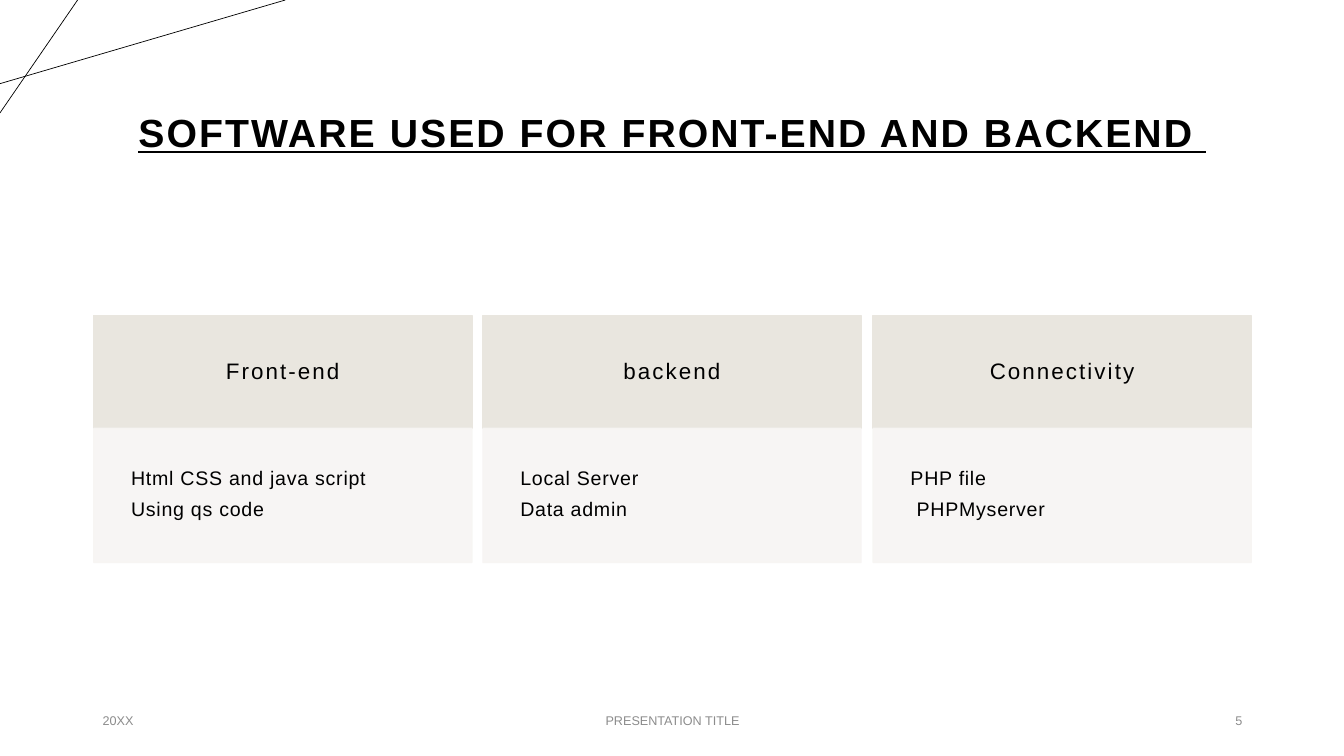
from lxml import etree
from pptx import Presentation
from pptx import util as u
from pptx.dml.color import RGBColor
from pptx.enum import shapes, text
from pptx.oxml.ns import qn

PX = 9144  # EMU per px, 100 px to the inch
FONT = "Arial"
COLORS = {
    "ink": "000000",
    "footer": "8C8C8C",
    "heading": "E9E6DF",
    "body": "F7F5F3",
}
COLUMNS = [
    ("Front-end", ["Html CSS and java script", "Using qs code"]),
    ("backend", ["Local Server", "Data admin"]),
    ("Connectivity", ["PHP file", " PHPMyserver"]),
]
LEFT, CENTER, RIGHT = text.PP_ALIGN.LEFT, text.PP_ALIGN.CENTER, text.PP_ALIGN.RIGHT
TOP, MIDDLE, BOTTOM = text.MSO_ANCHOR.TOP, text.MSO_ANCHOR.MIDDLE, text.MSO_ANCHOR.BOTTOM


def emu(*lengths):
    return [u.Emu(length * PX) for length in lengths]


def rgb(name):
    return RGBColor.from_string(COLORS[name])


def write(shape, lines, size, color="ink", align=LEFT, anchor=MIDDLE, inset=None,
          bold=False, underline=False, tracking=0, line_spacing=1.0, space_after=0):
    """Fill a shape with one formatted paragraph per line; tracking is in points."""
    frame = shape.text_frame
    frame.word_wrap = True
    frame.auto_size = text.MSO_AUTO_SIZE.NONE
    frame.vertical_anchor = anchor
    if inset is not None:
        frame.margin_left, frame.margin_top, frame.margin_right, frame.margin_bottom = emu(*[inset] * 4)
    frame.text = "\n".join(lines)
    for paragraph in frame.paragraphs:
        paragraph.alignment = align
        paragraph.line_spacing = line_spacing
        paragraph.space_before = u.Pt(0)
        paragraph.space_after = u.Pt(space_after)
        for run in paragraph.runs:
            run.font.name = FONT
            run.font.size = u.Pt(size)
            run.font.bold = bold
            run.font.underline = underline
            run.font.color.rgb = rgb(color)
    for properties in shape.element.iter(qn("a:rPr")):
        properties.set("spc", str(int(tracking * 100)))


def add_panel(slide, box, color, opacity=100):
    panel = slide.shapes.add_shape(shapes.MSO_SHAPE.RECTANGLE, *emu(*box))
    panel.shadow.inherit = False
    panel.fill.solid()
    panel.fill.fore_color.rgb = rgb(color)
    panel.line.color.rgb = rgb(color)
    panel.line.width = u.Pt(1)
    if opacity < 100:
        for fill_color in panel.element.spPr.iter(qn("a:srgbClr")):
            etree.SubElement(fill_color, qn("a:alpha"), val=str(opacity * 1000))
    return panel


def add_corner_lines(slide, box):
    left, top, width, height = box
    ends = [
        (left, top + 83, left + width, top),
        (left + 77, top, left, top + height),
    ]
    for points in ends:
        line = slide.shapes.add_connector(shapes.MSO_CONNECTOR.STRAIGHT, *emu(*points))
        line.line.color.rgb = rgb("ink")
        line.line.width = u.Pt(0.5)
        etree.SubElement(line.element.spPr, qn("a:effectLst"))


def add_title(slide, box):
    title = slide.shapes.title
    title.left, title.top, title.width, title.height = emu(*box)
    write(title, ["SOFTWARE USED FOR FRONT-END AND BACKEND "], 28, align=CENTER,
          anchor=BOTTOM, bold=True, underline=True, tracking=1.5, line_spacing=0.9)


def add_column(slide, box, heading, lines):
    left, top, width, height = box
    heading_height = 112
    header = add_panel(slide, (left, top, width, heading_height), "heading")
    write(header, [heading], 16, align=CENTER, inset=30, tracking=1.5, line_spacing=0.9)
    body_box = (left, top + heading_height, width, height - heading_height)
    body = add_panel(slide, body_box, "body", opacity=90)
    write(body, lines, 14, anchor=TOP, inset=37, tracking=0.5, space_after=5.5)


def add_columns(slide, box):
    left, top, width, height = box
    column_width = 375
    step = (width - column_width) / (len(COLUMNS) - 1)
    for index, (heading, lines) in enumerate(COLUMNS):
        column_left = left + int(index * step)
        add_column(slide, (column_left, top, column_width, height), heading, lines)


def add_footer(slide, box):
    left, top, width, height = box
    parts = [
        ("20XX", left, 300, LEFT),
        ("PRESENTATION TITLE", left + (width - 450) // 2, 450, CENTER),
        ("5", left + width - 300, 300, RIGHT),
    ]
    for words, part_left, part_width, align in parts:
        part = slide.shapes.add_textbox(*emu(part_left, top, part_width, height))
        write(part, [words], 9, color="footer", align=align)


def main():
    presentation = Presentation()
    presentation.slide_width, presentation.slide_height = emu(1333, 750)
    slide = presentation.slides.add_slide(presentation.slide_layouts[5])
    add_corner_lines(slide, (0, 0, 283, 112))
    add_title(slide, (92, 15, 1150, 145))
    add_columns(slide, (93, 313, 1148, 245))
    add_footer(slide, (92, 695, 1150, 40))
    presentation.save("out.pptx")


if __name__ == "__main__":
    main()
